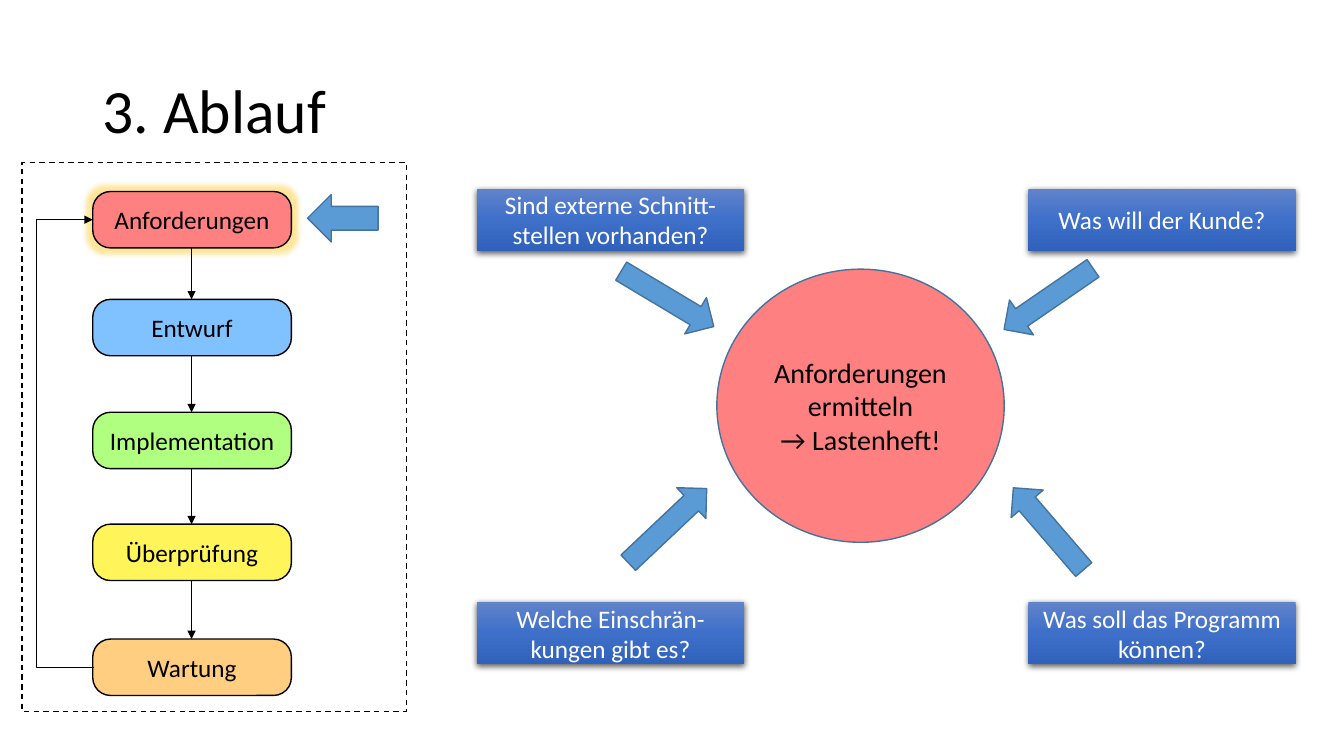
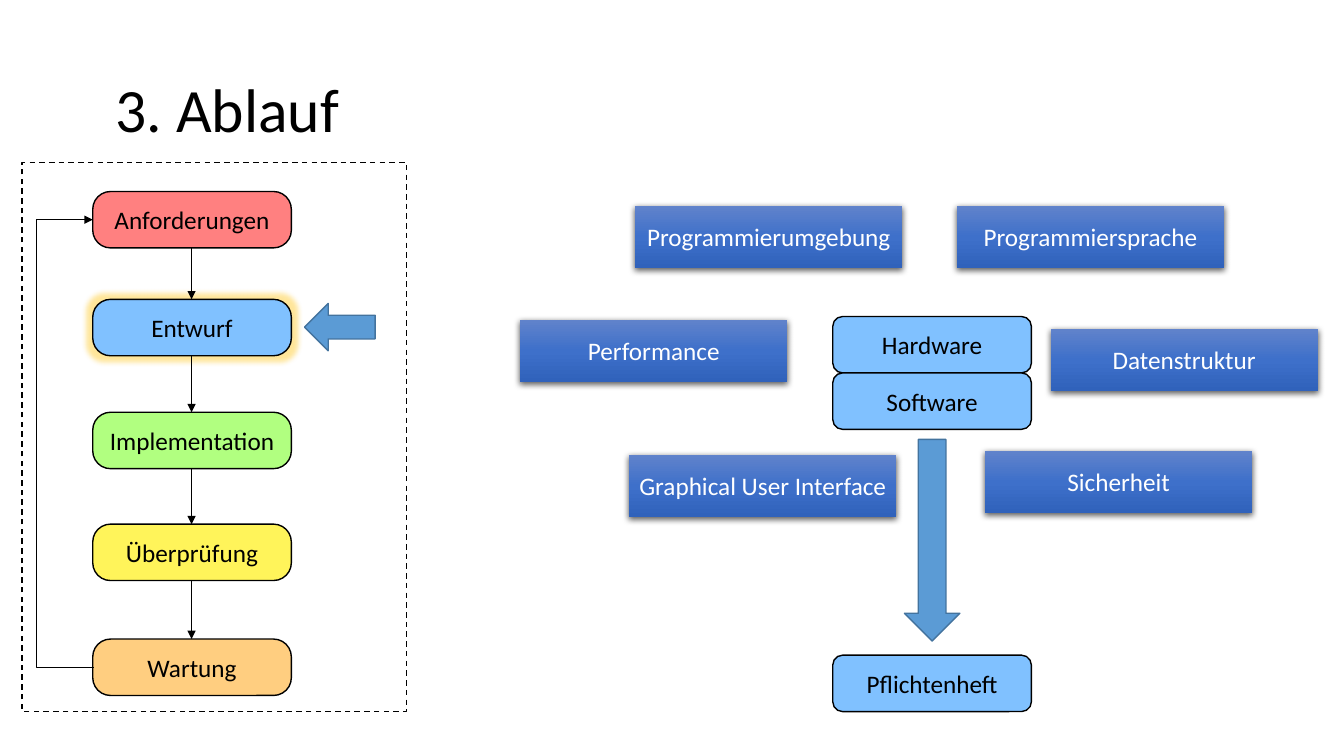
import copy

import lxml.etree
import pptx
import pptx.dml.color
import pptx.enum.dml
import pptx.enum.shapes
import pptx.enum.text
import pptx.oxml
import pptx.oxml.ns
import pptx.util

RGB = pptx.dml.color.RGBColor
SHAPE = pptx.enum.shapes.MSO_SHAPE
LINK = pptx.enum.shapes.MSO_CONNECTOR
ALIGN = pptx.enum.text.PP_ALIGN
qn = pptx.oxml.ns.qn

# Shared look: 100 px to the inch
PX = 9144
FONT = "Calibri"
BLACK = RGB(0x00, 0x00, 0x00)
WHITE = RGB(0xFF, 0xFF, 0xFF)
RED = RGB(0xFF, 0x80, 0x80)
BLUE = RGB(0x80, 0xC1, 0xFF)
GREEN = RGB(0xB1, 0xFF, 0x80)
YELLOW = RGB(0xFF, 0xF4, 0x5A)
ORANGE = RGB(0xFF, 0xCE, 0x80)
ARROW = RGB(0x5B, 0x9B, 0xD5)
ARROW_EDGE = RGB(0x43, 0x73, 0x9E)
GRADIENT = [RGB(0x61, 0x83, 0xCB), RGB(0x3E, 0x70, 0xCA), RGB(0x30, 0x62, 0xBB)]
GLOW = RGB(0xFF, 0xC0, 0x00)

STEPS = [
    ("Anforderungen", 190, RED),
    ("Entwurf", 297, BLUE),
    ("Implementation", 409, GREEN),
    ("Überprüfung", 520, YELLOW),
    ("Wartung", 634, ORANGE),
]
STEP_X, STEP_W, STEP_H = 92, 197, 56
TOPIC_W, TOPIC_H = 265, 62


def add_box(s, kind, x, y, w, h, text="", *, size=18, color=BLACK, align=ALIGN.CENTER,
            fill=None, line=None, adj=None, rotation=0, spacing=None):
    """Add a shape; a list as fill makes a three-stop gradient from top to bottom."""
    sp = s.shapes.add_shape(kind, x * PX, y * PX, w * PX, h * PX)
    sp.shadow.inherit = False
    sp.rotation = rotation
    if adj is not None:
        sp.adjustments[0] = adj
    if fill is None:
        sp.fill.background()
    elif isinstance(fill, list):
        sp.fill.gradient()
        sp.fill.gradient_angle = 270
        stops = sp._element.spPr.find(qn("a:gradFill")).find(qn("a:gsLst"))
        stops.insert(1, copy.deepcopy(stops[0]))
        for i, stop in enumerate(sp.fill.gradient_stops):
            stop.position = i / 2
            stop.color.rgb = fill[i]
    else:
        sp.fill.solid()
        sp.fill.fore_color.rgb = fill
    if line is None:
        sp.line.fill.background()
    else:
        sp.line.color.rgb = line
        sp.line.width = pptx.util.Pt(1)
    if text:
        tf = sp.text_frame
        tf.word_wrap = True
        tf.vertical_anchor = pptx.enum.text.MSO_ANCHOR.MIDDLE
        for i, part in enumerate(text.split("\n")):
            p = tf.add_paragraph() if i else tf.paragraphs[0]
            p.alignment = align
            p.line_spacing = spacing
            r = p.add_run()
            r.text = part
            r.font.name = FONT
            r.font.size = pptx.util.Pt(size)
            r.font.color.rgb = color
    return sp


def add_effect(sp, tag, color, alpha, **attrs):
    """Add a glow or shadow to a shape."""
    effects = sp._element.spPr.find(qn("a:effectLst"))
    effect = lxml.etree.SubElement(effects, qn(tag), attrs)
    clr = lxml.etree.SubElement(effect, qn("a:srgbClr"), val=str(color))
    lxml.etree.SubElement(clr, qn("a:alpha"), val=str(alpha * 1000))


prs = pptx.Presentation()
prs.slide_width = 1333 * PX
prs.slide_height = 750 * PX

# Title and process panel: title position, active step, marker position
for title_x, title_y, active, marker_x, marker_y in [
    (92, 40, "Anforderungen", 305, 193),
    (105, 39, "Entwurf", 302, 301),
]:
    s = prs.slides.add_slide(prs.slide_layouts[6])
    add_box(s, SHAPE.RECTANGLE, title_x, title_y, 1150, 145, "3. Ablauf",
            size=44, align=ALIGN.LEFT, spacing=0.9)
    panel = add_box(s, SHAPE.RECTANGLE, 22, 161, 381, 545, line=BLACK)
    panel.line.dash_style = pptx.enum.dml.MSO_LINE.DASH

    for name, y, color in STEPS:
        step = add_box(s, SHAPE.ROUNDED_RECTANGLE, STEP_X, y, STEP_W, STEP_H, name,
                       fill=color, line=BLACK, adj=0.316)
        if name == active:
            add_effect(step, "a:glow", GLOW, 40, rad="101600")

    # Arrows between the steps, then the loop back to the first one
    tops = [y for _, y, _ in STEPS]
    mid = STEP_X + STEP_W // 2
    links = [(LINK.STRAIGHT, mid, top + STEP_H, mid, below)
             for top, below in zip(tops, tops[1:])]
    links.append((LINK.ELBOW, STEP_X, tops[0] + STEP_H // 2,
                  STEP_X + 1, tops[-1] + STEP_H // 2))
    for kind, x1, y1, x2, y2 in links:
        link = s.shapes.add_connector(kind, x1 * PX, y1 * PX, x2 * PX, y2 * PX)
        link.line.color.rgb = BLACK
        link.line.width = pptx.util.Pt(1)
        spPr = link._element.spPr
        lxml.etree.SubElement(spPr.find(qn("a:ln")), qn("a:tailEnd"), type="triangle")
        lxml.etree.SubElement(spPr, qn("a:effectLst"))
        if kind == LINK.ELBOW:
            spPr.find(qn("a:xfrm")).set("rot", "10800000")
            guides = spPr.find(qn("a:prstGeom")).find(qn("a:avLst"))
            lxml.etree.SubElement(guides, qn("a:gd"), name="adj1", fmla="val 5800000")

    add_box(s, SHAPE.RIGHT_ARROW, marker_x, marker_y, 70, 47,
            fill=ARROW, line=ARROW_EDGE, rotation=180)

requirements, design = prs.slides

# Slide 1: questions pointing at the circle
add_box(requirements, SHAPE.OVAL, 711, 267, 285, 271,
        "Anforderungen ermitteln\n→ Lastenheft!", size=20, fill=RED, line=ARROW_EDGE)
for x, y, angle in [(1019, 243, 235.5), (1019, 471, 319.3),
                    (641, 468, 46.6), (641, 243, 120.9)]:
    add_box(requirements, SHAPE.UP_ARROW, x, y, 42, 107,
            fill=ARROW, line=ARROW_EDGE, rotation=angle)

# Slide 2: design results
for name, y in [("Hardware", 314), ("Software", 370), ("Pflichtenheft", 650)]:
    add_box(design, SHAPE.ROUNDED_RECTANGLE, 826, y, STEP_W, STEP_H, name,
            fill=BLUE, line=BLACK, adj=0.174)
add_box(design, SHAPE.DOWN_ARROW, 897, 436, 55, 200, fill=ARROW, line=ARROW_EDGE)

# Topic boxes on both slides
for s, text, x, y in [
    (requirements, "Sind externe Schnitt-stellen vorhanden?", 473, 187),
    (requirements, "Was will der Kunde?", 1020, 187),
    (requirements, "Welche Einschrän-kungen gibt es?", 473, 597),
    (requirements, "Was soll das Programm können?", 1020, 597),
    (design, "Programmierumgebung", 630, 204),
    (design, "Programmiersprache", 949, 204),
    (design, "Performance", 516, 317),
    (design, "Datenstruktur", 1042, 326),
    (design, "Graphical User Interface", 624, 451),
    (design, "Sicherheit", 977, 447),
]:
    topic = add_box(s, SHAPE.RECTANGLE, x, y, TOPIC_W, TOPIC_H, text,
                    color=WHITE, fill=GRADIENT)
    add_effect(topic, "a:outerShdw", BLACK, 63, blurRad="57150", dist="19050",
               dir="5400000", algn="ctr", rotWithShape="0")

prs.save("out.pptx")
